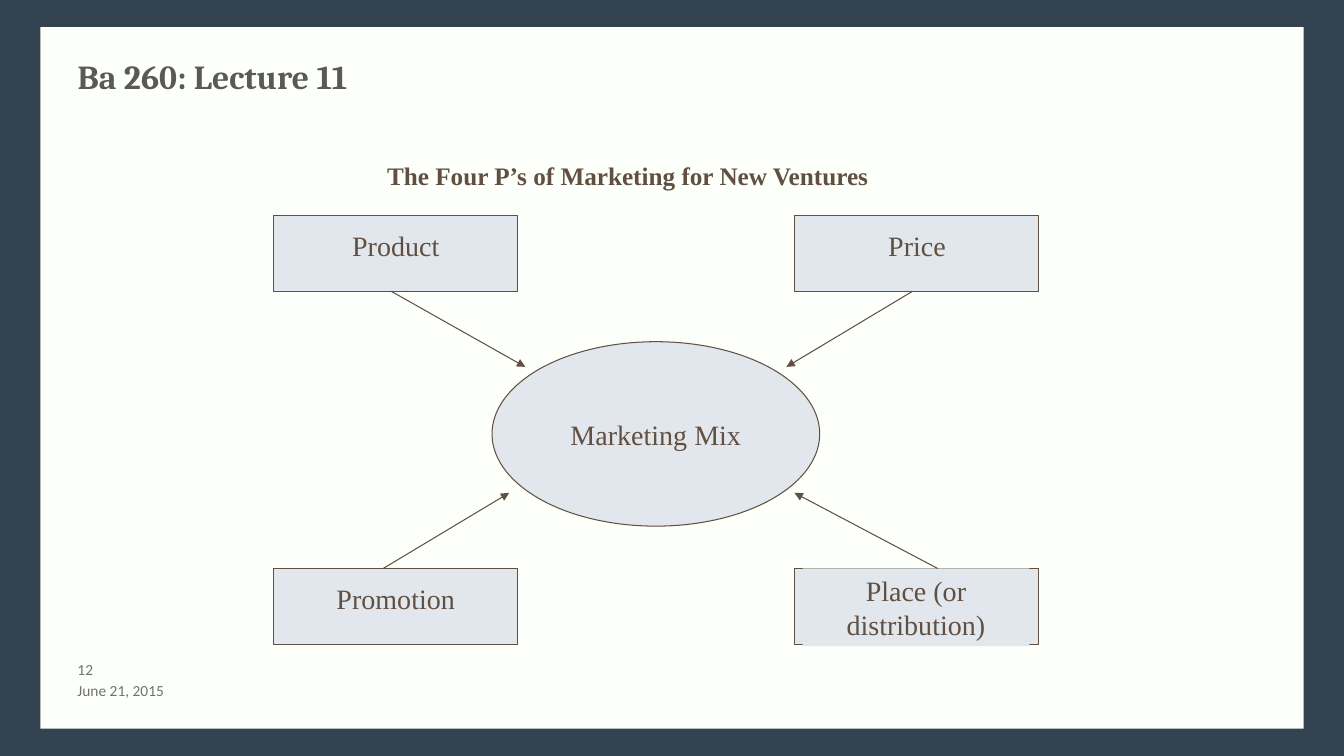
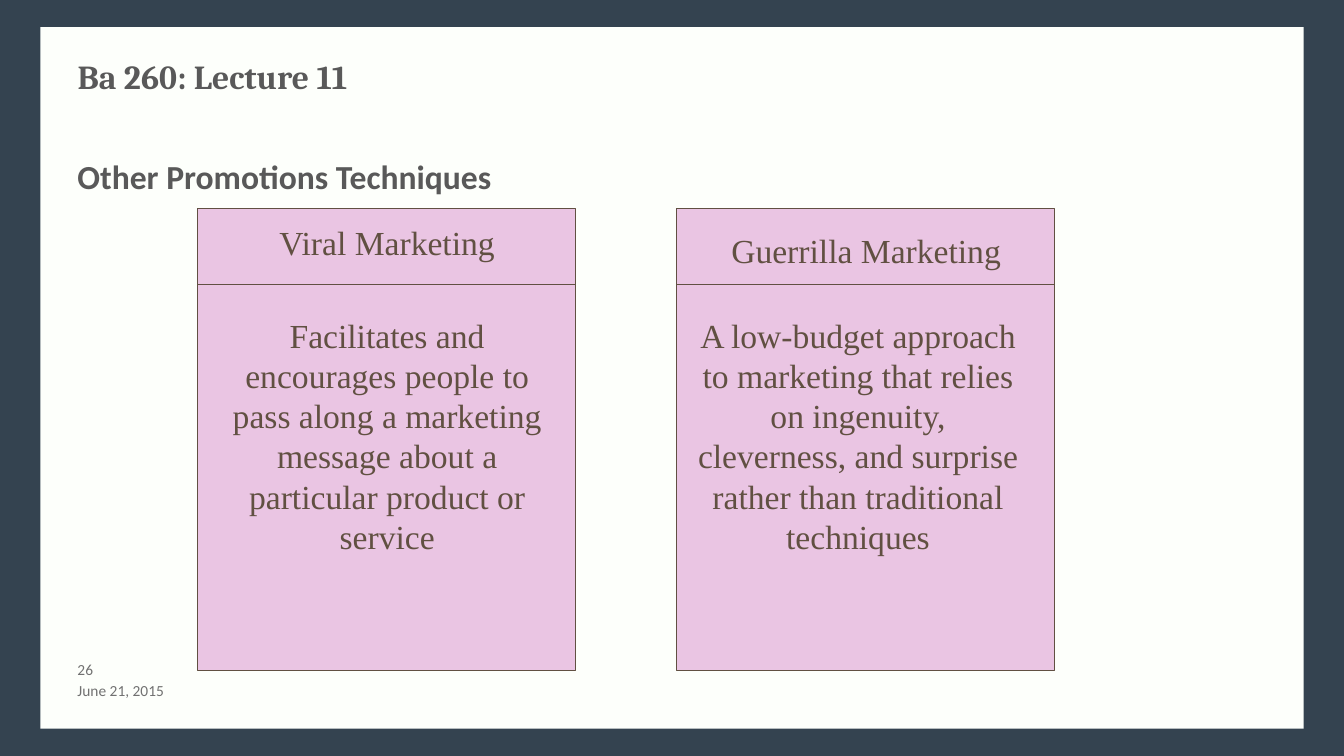
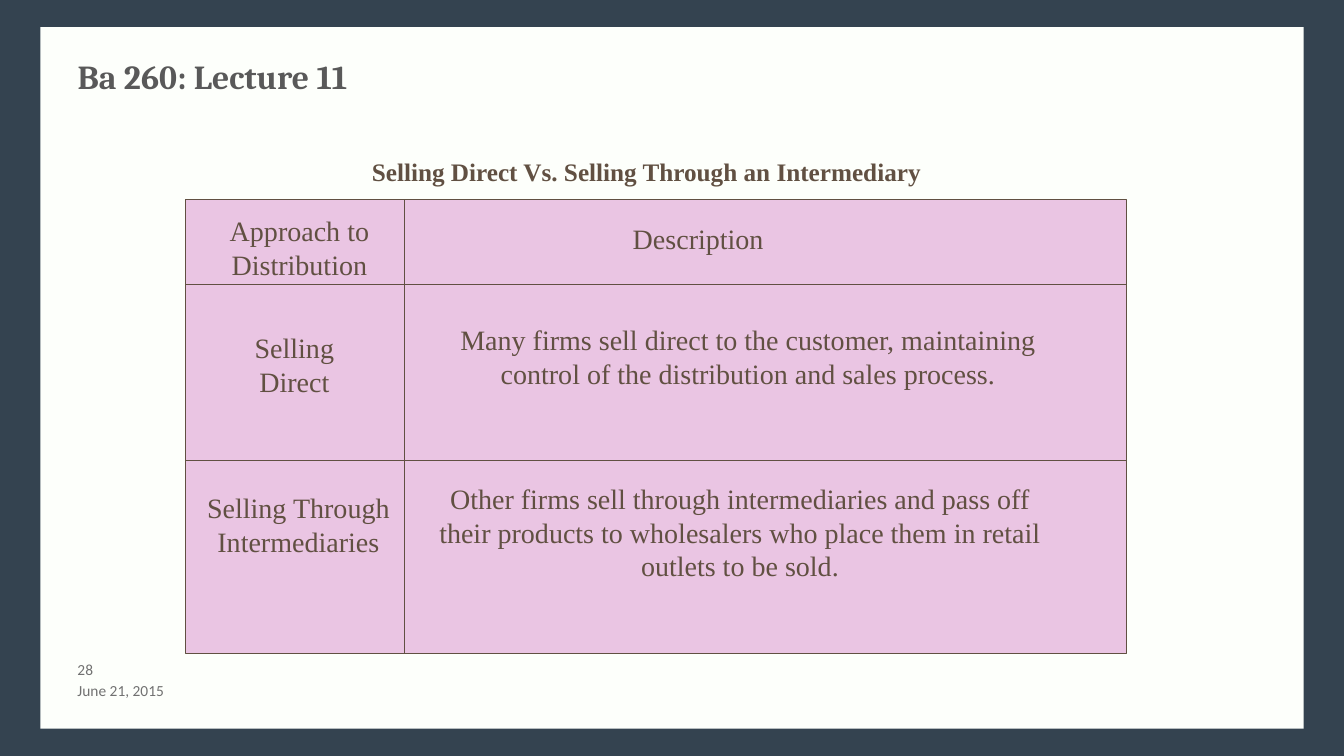
from dataclasses import dataclass
from itertools import product
from typing import Optional

from pptx import Presentation
from pptx.dml.color import RGBColor
from pptx.enum.shapes import MSO_CONNECTOR as CONN, MSO_SHAPE as SHAPE
from pptx.enum.text import MSO_ANCHOR as ANCHOR, PP_ALIGN as ALIGN
from pptx.oxml.ns import qn
from pptx.slide import Slide
from pptx.util import Inches, Pt
from lxml.etree import SubElement

NAVY = RGBColor(0x34, 0x43, 0x50)
IVORY = RGBColor(0xFD, 0xFF, 0xFB)
GREY = RGBColor(0x59, 0x59, 0x59)
LIGHT_GREY = RGBColor(0x71, 0x71, 0x71)
BROWN = RGBColor(0x61, 0x50, 0x42)
BLUE = RGBColor(0xE1, 0xE7, 0xEC)
PINK = RGBColor(0xEA, 0xC5, 0xE3)

TITLE = {"name": "Cambria", "size": Pt(24), "bold": True}
SUBTITLE = {"name": "Calibri", "size": Pt(24), "bold": True}
FOOTER = {"name": "Calibri", "size": Pt(11), "bold": False}
HEADING = {"name": "Times New Roman", "size": Pt(18), "bold": True}
LABEL = {"name": "Times New Roman", "size": Pt(20), "bold": False}
LARGE = {"name": "Times New Roman", "size": Pt(24), "bold": False}

FLAT = {"margin_top": 0, "margin_bottom": 0}


@dataclass(frozen=True)
class Block:
    left: float
    top: float
    width: float
    height: float
    fill: Optional[RGBColor] = None
    outline: Optional[RGBColor] = None
    kind: SHAPE = SHAPE.RECTANGLE


@dataclass(frozen=True)
class Label:
    text: str
    left: float
    top: float
    width: float
    height: float
    font: dict
    color: RGBColor = BROWN
    fill: Optional[RGBColor] = None
    align: ALIGN = ALIGN.CENTER


@dataclass(frozen=True)
class Line:
    x1: float
    y1: float
    x2: float
    y2: float
    arrow: bool = False


def write(sp, text: str, font: dict, color: RGBColor, align: ALIGN, **frame) -> None:
    tf = sp.text_frame
    for name, value in {"word_wrap": True, "vertical_anchor": ANCHOR.TOP, **frame}.items():
        setattr(tf, name, value)
    p = tf.paragraphs[0]
    p.alignment = align
    r = p.add_run()
    r.text = text
    for name, value in font.items():
        setattr(r.font, name, value)
    r.font.color.rgb = color


def draw_block(s: Slide, b: Block):
    sp = s.shapes.add_shape(b.kind, *map(Inches, (b.left, b.top, b.width, b.height)))
    sp.shadow.inherit = False
    sp.fill.solid()
    sp.fill.fore_color.rgb = b.fill
    if b.outline is None:
        sp.line.fill.background()
    else:
        sp.line.color.rgb = b.outline
        sp.line.width = Pt(0.75)
    return sp


def draw_label(s: Slide, b: Label, **frame) -> None:
    if b.fill is None:
        sp = s.shapes.add_textbox(*map(Inches, (b.left, b.top, b.width, b.height)))
    else:
        sp = draw_block(s, Block(b.left, b.top, b.width, b.height, b.fill))
    write(sp, b.text, b.font, b.color, b.align, **frame)


def draw_line(s: Slide, n: Line) -> None:
    c = s.shapes.add_connector(CONN.STRAIGHT, *map(Inches, (n.x1, n.y1, n.x2, n.y2)))
    c.line.color.rgb = BROWN
    c.line.width = Pt(0.75)
    props = c.element.spPr
    if n.arrow:
        SubElement(props.find(qn("a:ln")), qn("a:tailEnd"), type="triangle")
    SubElement(props, qn("a:effectLst"))


def new_slide(prs: Presentation, number: str) -> Slide:
    s = prs.slides.add_slide(prs.slide_layouts[5])
    title = s.shapes.title
    for name, value in zip(("left", "top", "width", "height"), (0.67, 0.5, 12, 0.75)):
        setattr(title, name, Inches(value))
    write(title, "Ba 260: Lecture 11", TITLE, GREY, ALIGN.LEFT)
    panel = draw_block(s, Block(0.4, 0.27, 12.53, 6.96, IVORY))
    title.element.addprevious(panel.element)
    draw_label(s, Label("June 21, 2015", 0.67, 6.75, 2.67, 0.2, FOOTER, LIGHT_GREY,
                        align=ALIGN.LEFT), vertical_anchor=ANCHOR.MIDDLE, **FLAT)
    draw_label(s, Label(number, 0.67, 6.55, 0.53, 0.2, FOOTER, LIGHT_GREY,
                        align=ALIGN.LEFT), margin_right=0, **FLAT)
    return s


def four_ps(prs: Presentation) -> None:
    s = new_slide(prs, "12")
    draw_label(s, Label("The Four P’s of Marketing for New Ventures",
                        3.74, 1.54, 5.02, 0.4, HEADING, align=ALIGN.LEFT), word_wrap=False)
    mix = draw_block(s, Block(4.88, 3.39, 3.25, 1.83, BLUE, BROWN, SHAPE.OVAL))
    write(mix, "Marketing Mix", LABEL, BROWN, ALIGN.CENTER,
          vertical_anchor=ANCHOR.MIDDLE, word_wrap=False)
    names = ("Product", "Price", "Promotion")
    corners = list(product((2.14, 5.64), (2.71, 7.88)))
    for top, left in corners:
        draw_block(s, Block(left, top, 2.42, 0.75, BLUE, BROWN))
    for name, (top, left) in zip(names, corners):
        draw_label(s, Label(name, left + 0.09, top + 0.08, 2.25, 0.43, LABEL))
    draw_label(s, Label("Place (or distribution)", 7.96, 5.64, 2.25, 0.77, LABEL, fill=BLUE))
    for x1, y1, x2, y2 in ((3.8, 5.64, 5.05, 4.89), (9.3, 5.64, 7.88, 4.89),
                           (3.88, 2.89, 5.21, 3.64), (9.05, 2.89, 7.8, 3.64)):
        draw_line(s, Line(x1, y1, x2, y2, arrow=True))


def promotions(prs: Presentation) -> None:
    s = new_slide(prs, "26")
    draw_label(s, Label("Other Promotions Techniques", 0.67, 1.5, 5.84, 4.75,
                        SUBTITLE, GREY, align=ALIGN.LEFT))
    for left in (1.96, 6.71):
        draw_block(s, Block(left, 2.07, 3.75, 4.58, PINK, BROWN))
        draw_line(s, Line(left, 2.82, left + 3.75, 2.82))
    for label in (
        Label("Viral Marketing", 2.05, 2.15, 3.58, 0.51, LARGE, fill=PINK),
        Label("Guerrilla Marketing", 6.8, 2.23, 3.58, 0.51, LARGE, fill=PINK),
        Label("Facilitates and encourages people to pass along a marketing message "
              "about a particular product or service", 2.13, 3.07, 3.42, 2.52, LARGE, fill=PINK),
        Label("A low-budget approach to marketing that relies on ingenuity, cleverness, "
              "and surprise rather than traditional techniques",
              6.8, 3.07, 3.42, 2.52, LARGE, fill=PINK),
    ):
        draw_label(s, label)


def selling(prs: Presentation) -> None:
    s = new_slide(prs, "28")
    draw_label(s, Label("Selling Direct Vs. Selling Through an Intermediary",
                        3.59, 1.5, 6.67, 0.71, HEADING, align=ALIGN.LEFT))
    draw_block(s, Block(1.84, 1.98, 9.33, 4.5, PINK, BROWN))
    draw_line(s, Line(4.01, 1.98, 4.01, 6.48))
    for text, *place in (
        ("Approach to Distribution", 2.01, 2.07, 1.92, 0.77),
        ("Description", 5.34, 2.15, 3.17, 0.44),
        ("Selling Direct", 2.17, 3.23, 1.5, 0.77),
        ("Selling Through Intermediaries", 1.92, 4.82, 2.08, 0.77),
        ("Many firms sell direct to the customer, maintaining control of the "
         "distribution and sales process.", 4.17, 3.15, 6.5, 0.77),
        ("Other firms sell through intermediaries and pass off their products to "
         "wholesalers who place them in retail outlets to be sold.", 4.09, 4.73, 6.5, 1.11),
    ):
        draw_label(s, Label(text, *place, LABEL, fill=PINK))
    for y in (2.82, 4.57):
        draw_line(s, Line(1.84, y, 11.17, y))


prs = Presentation()
prs.slide_width, prs.slide_height = Inches(13.33), Inches(7.5)
backdrop = prs.slide_master.background.fill
backdrop.solid()
backdrop.fore_color.rgb = NAVY
for build in (four_ps, promotions, selling):
    build(prs)
prs.save("out.pptx")
